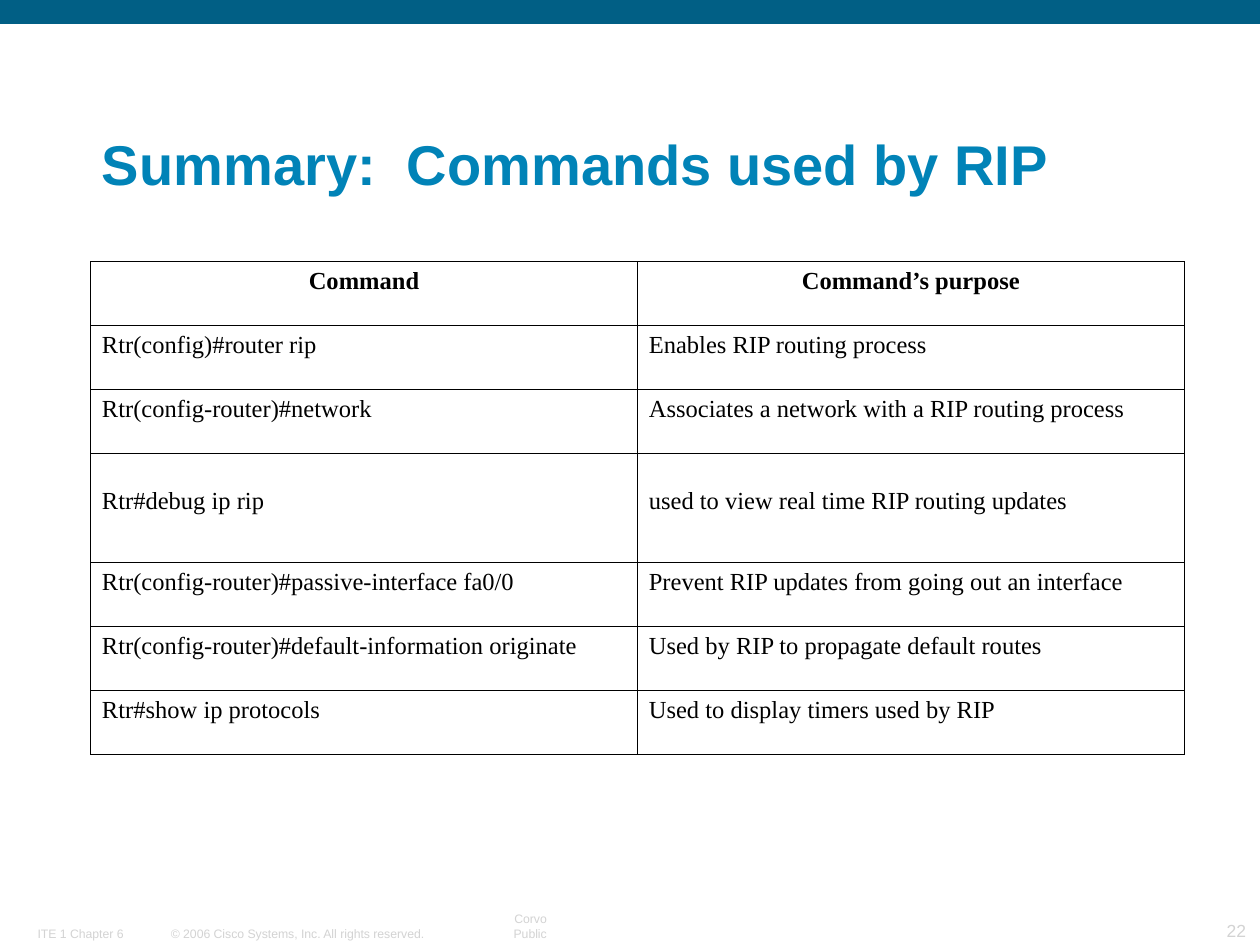
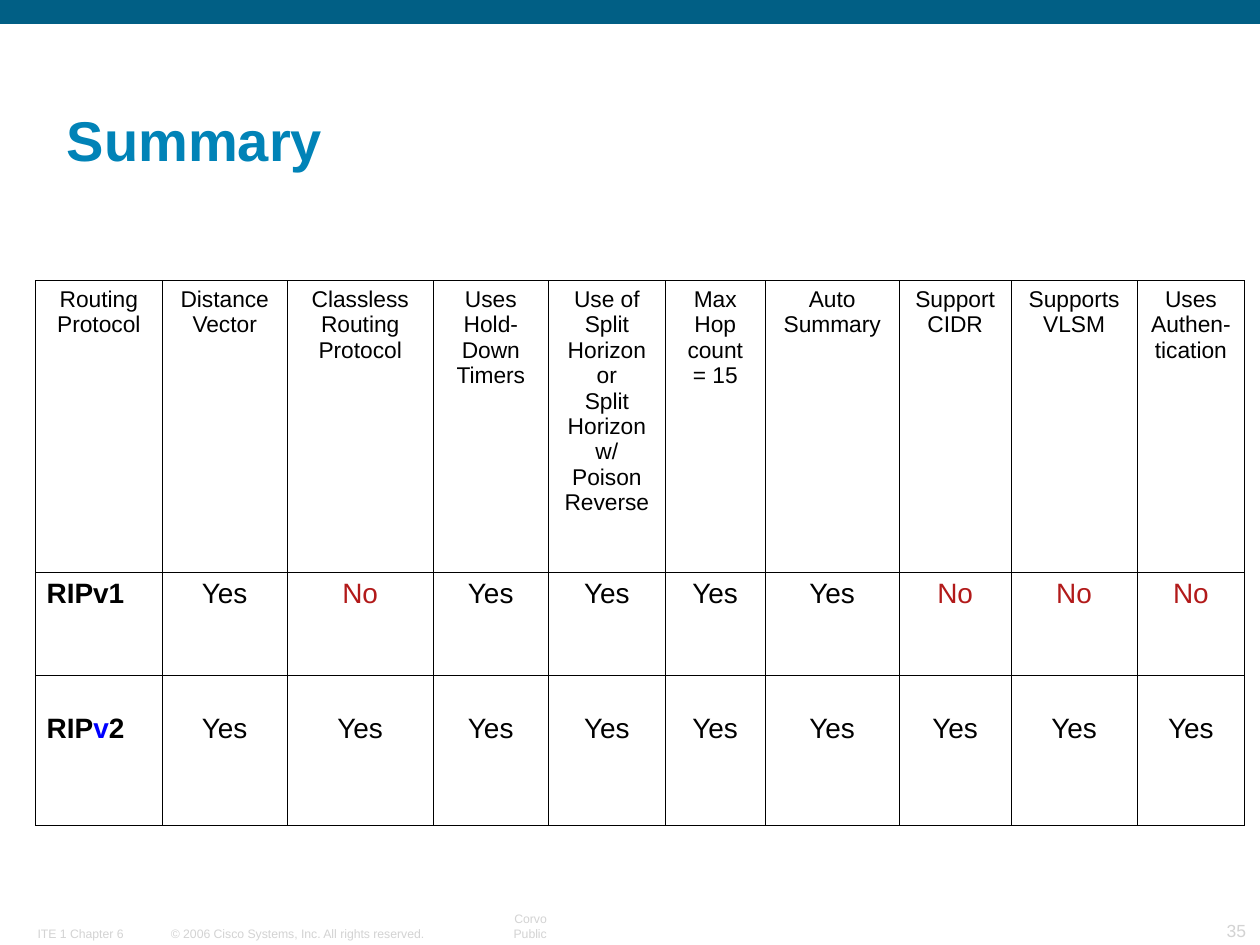
"""Build two routing protocol summary slides."""
from lxml.etree import SubElement
from pptx import Presentation
from pptx.dml.color import RGBColor
from pptx.enum.shapes import MSO_SHAPE
from pptx.enum.text import MSO_ANCHOR, MSO_AUTO_SIZE, PP_ALIGN
from pptx.oxml.ns import qn
from pptx.util import Pt

BAND_BLUE = RGBColor(0x01, 0x5F, 0x85)
TITLE_BLUE = RGBColor(0x01, 0x83, 0xB7)
FOOTER_GREY = RGBColor(0xD3, 0xD3, 0xD3)
BLACK = RGBColor(0, 0, 0)
NO_RED = RGBColor(0xB2, 0x1A, 0x1A)
VERSION_BLUE = RGBColor(0, 0, 0xFF)

SANS = "Arial"
SERIF = "Times New Roman"

FOOTERS = [
    ("ITE 1 Chapter 6", 15, 75.5, PP_ALIGN.LEFT),
    ("© 2006 Cisco Systems, Inc. All rights reserved.", 91.2, 158.4, PP_ALIGN.LEFT),
    ("Corvo Public", 267.8, 51.2, PP_ALIGN.RIGHT),
]

COMMANDS = [
    ("Command", "Command’s purpose"),
    ("Rtr(config)#router rip", "Enables RIP routing process"),
    ("Rtr(config-router)#network", "Associates a network with a RIP routing process"),
    ("Rtr#debug ip rip", "used to view real time RIP routing updates"),
    ("Rtr(config-router)#passive-interface fa0/0", "Prevent RIP updates from going out an interface"),
    ("Rtr(config-router)#default-information originate", "Used by RIP to propagate default routes"),
    ("Rtr#show ip protocols", "Used to display timers used by RIP"),
]
DEBUG_ROW = 3

FEATURES = [
    "Routing\nProtocol", "Distance\nVector", "Classless\nRouting\nProtocol",
    "Uses\nHold-Down\nTimers",
    "Use of\nSplit Horizon or\nSplit Horizon w/\nPoison Reverse",
    "Max\nHop count\n= 15", "Auto\nSummary", "Support\nCIDR", "Supports\nVLSM",
    "Uses Authen-tication",
]
FEATURE_WIDTHS = [72.5, 71.4, 83.5, 65.8, 66.8, 57.2, 76.5, 64, 72, 61.5]
RIP_V1 = ["Yes", "No", "Yes", "Yes", "Yes", "Yes", "No", "No", "No"]
RIP_V2 = ["Yes"] * len(RIP_V1)


class SlideBuilder:
    """Hold the shared style and the current slide."""

    def __init__(self):
        self.deck = Presentation()
        self.deck.slide_width, self.deck.slide_height = Pt(720), Pt(540)
        self.page = None

    def start_page(self, title, left, top, number):
        self.page = self.deck.slides.add_slide(self.deck.slide_layouts[5])
        self.add_band()
        for text, footer_left, width, align in FOOTERS:
            self.add_footer(text, footer_left, 525.6, width, 15.1, align, 7)
        self.add_footer(number, 660.2, 522, 58.3, 18.7, PP_ALIGN.RIGHT, 10)
        self.set_title(title, left, top)

    def add_band(self):
        band = self.page.shapes.add_shape(MSO_SHAPE.RECTANGLE, 0, 0, self.deck.slide_width, Pt(13.7))
        band.shadow.inherit = False
        band.fill.solid()
        band.fill.fore_color.rgb = BAND_BLUE
        band.line.fill.background()

    def set_insets(self, frame):
        frame.margin_left = frame.margin_right = Pt(6.5)
        frame.margin_top = frame.margin_bottom = Pt(3.2)
        frame.vertical_anchor = MSO_ANCHOR.BOTTOM

    def add_span(self, para, text, size, color, font=SANS, bold=False):
        span = para.add_run()
        span.text = text
        span.font.name, span.font.size, span.font.bold = font, Pt(size), bold
        span.font.color.rgb = color

    def add_footer(self, text, left, top, width, height, align, size):
        box = self.page.shapes.add_textbox(Pt(left), Pt(top), Pt(width), Pt(height))
        frame = box.text_frame
        self.set_insets(frame)
        frame.word_wrap = False
        frame.auto_size = MSO_AUTO_SIZE.SHAPE_TO_FIT_TEXT
        para = frame.paragraphs[0]
        para.alignment = align
        self.add_span(para, text, size, FOOTER_GREY)

    def set_title(self, text, left, top):
        box = self.page.shapes.title
        box.left, box.top, box.width, box.height = Pt(left), Pt(top), Pt(641.5), Pt(66.2)
        frame = box.text_frame
        self.set_insets(frame)
        frame.word_wrap = True
        frame.auto_size = MSO_AUTO_SIZE.NONE
        para = frame.paragraphs[0]
        para.alignment = PP_ALIGN.LEFT
        para.line_spacing = 0.9
        self.add_span(para, text, 32, TITLE_BLUE, bold=True)

    def add_grid(self, left, top, widths, heights):
        frame = self.page.shapes.add_table(
            len(heights), len(widths), Pt(left), Pt(top), Pt(sum(widths)), Pt(sum(heights)))
        table = frame.table
        table.first_row = table.horz_banding = False
        for column, width in zip(table.columns, widths):
            column.width = Pt(width)
        for row, height in zip(table.rows, heights):
            row.height = Pt(height)
        for cell in table.iter_cells():
            self.set_borders(cell)
            cell.fill.background()
        return table

    def set_borders(self, cell):
        properties = cell._tc.get_or_add_tcPr()
        for side in ("a:lnL", "a:lnR", "a:lnT", "a:lnB"):
            line = SubElement(properties, qn(side), w=str(Pt(0.45)))
            fill = SubElement(line, qn("a:solidFill"))
            SubElement(fill, qn("a:srgbClr"), val=str(BLACK))

    def write_cell(self, cell, paragraphs, size, font=SANS, bold=False, centred=True, top=3.6):
        cell.margin_left = cell.margin_right = Pt(6.5)
        cell.margin_top, cell.margin_bottom = Pt(top), Pt(3.6)
        frame = cell.text_frame
        for index, spans in enumerate(paragraphs):
            para = frame.add_paragraph() if index else frame.paragraphs[0]
            para.alignment = PP_ALIGN.CENTER if centred else PP_ALIGN.LEFT
            for text, color in spans:
                self.add_span(para, text, size, color, font, bold)


def add_commands_page(builder):
    builder.start_page("Summary:  Commands used by RIP", 51.8, 49.7, "22")
    heights = [62 if row == DEBUG_ROW else 36.6 for row in range(len(COMMANDS))]
    table = builder.add_grid(51.8, 149.5, [312.5] * 2, heights)
    for row, texts in enumerate(COMMANDS):
        for column, text in enumerate(texts):
            builder.write_cell(
                table.cell(row, column), [[(text, BLACK)]], 14, SERIF,
                bold=row == 0, centred=row == 0, top=19.2 if row == DEBUG_ROW else 3.6)


def add_comparison_page(builder):
    builder.start_page("Summary", 31.7, 36, "35")
    table = builder.add_grid(20.2, 160.3, FEATURE_WIDTHS, [166.7, 58.9, 85.7])
    for column, feature in enumerate(FEATURES):
        lines = [[(line, BLACK)] for line in feature.split("\n")]
        builder.write_cell(table.cell(0, column), lines, 13)
    versions = [
        ([("RIPv1", BLACK)], RIP_V1, 3.6),
        ([("RIP", BLACK), ("v", VERSION_BLUE), ("2", BLACK)], RIP_V2, 22),
    ]
    for row, (name, answers, top) in enumerate(versions, 1):
        builder.write_cell(table.cell(row, 0), [name], 16, bold=True, centred=False, top=top)
        for column, answer in enumerate(answers, 1):
            color = NO_RED if answer == "No" else BLACK
            builder.write_cell(table.cell(row, column), [[(answer, color)]], 16, top=top)


def main():
    builder = SlideBuilder()
    add_commands_page(builder)
    add_comparison_page(builder)
    builder.deck.save("out.pptx")


if __name__ == "__main__":
    main()
